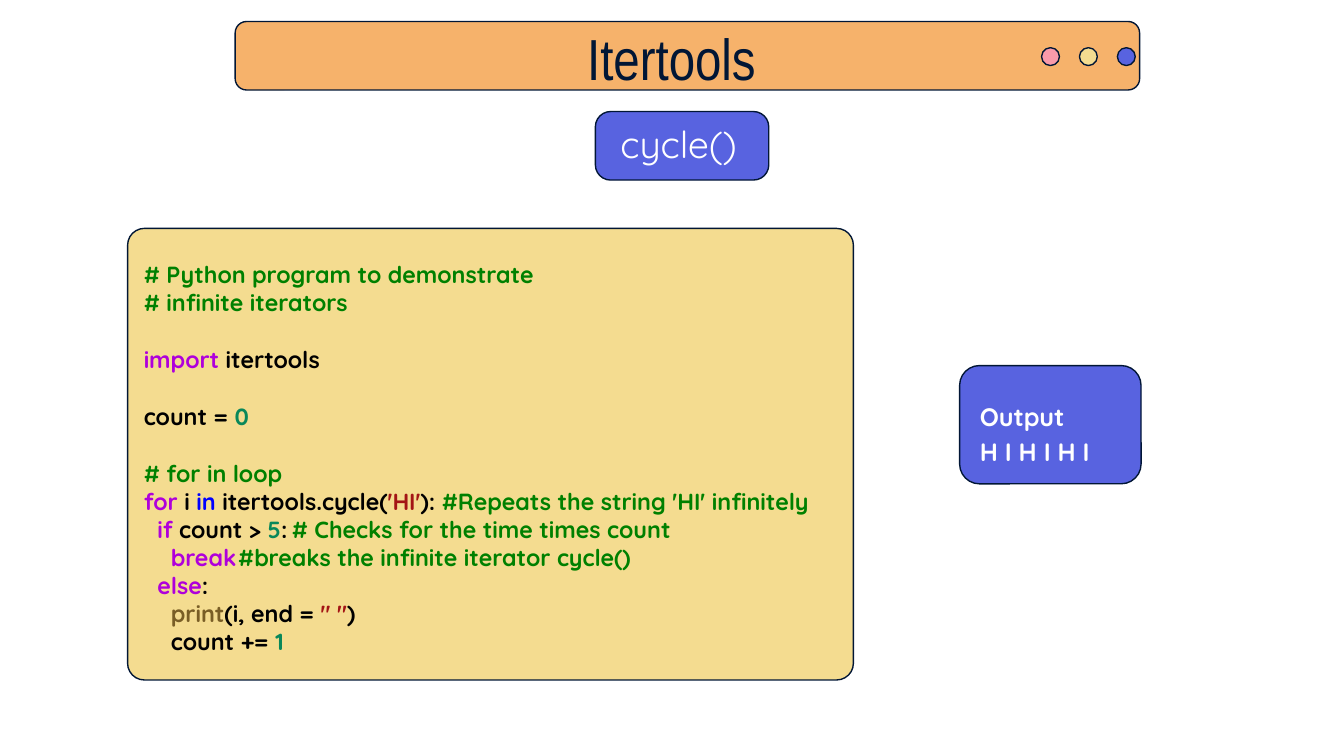
from lxml import etree
from pptx import Presentation
from pptx.dml.color import RGBColor
from pptx.enum.shapes import MSO_SHAPE
from pptx.enum.text import MSO_ANCHOR, PP_ALIGN
from pptx.oxml.ns import qn
from pptx.util import Inches, Pt

ROUND, OVAL = MSO_SHAPE.ROUNDED_RECTANGLE, MSO_SHAPE.OVAL
MIDDLE = MSO_ANCHOR.MIDDLE
LEFT, CENTER = PP_ALIGN.LEFT, PP_ALIGN.CENTER

CELL = Inches(0.1)
COLUMNS, ROWS = 100, 56.25
INDENT = 1.01
CODE_SIZE = 12.5
BLANK_LINE = CODE_SIZE * 1.25

NAVY, BLUE, ORANGE = "011635", "5863E0", "F6B26B"
YELLOW, PINK, WHITE = "F4DC90", "F99AAA", "FFFFFF"
COMMENT, KEYWORD, PLAIN = "008000", "AF00DB", "000000"
NUMBER, STRING, OPERATOR, BUILTIN = "09885A", "A31515", "0000FF", "795E26"

# Each line: indent level, blank line before, comment column, coloured tokens.
CODE = [
    (0, False, None, [("# Python program to demonstrate", COMMENT)]),
    (0, False, None, [("# infinite iterators", COMMENT)]),
    (0, True, None, [("import", KEYWORD), (" itertools", PLAIN)]),
    (0, True, None, [("count = ", PLAIN), ("0", NUMBER)]),
    (0, True, None, [("# for in loop", COMMENT)]),
    (0, False, None, [("for", KEYWORD), (" i ", PLAIN), ("in", OPERATOR),
                      (" itertools.cycle(", PLAIN), ("'HI'", STRING), ("): ", PLAIN),
                      ("#Repeats the string 'HI' infinitely", COMMENT)]),
    (1, False, 12.6, [("if", KEYWORD), (" count > ", PLAIN), ("5", NUMBER), (":\t", PLAIN),
                      ("# Checks for the time times count", COMMENT)]),
    (2, False, 11.6, [("break\t", KEYWORD),
                      ("#breaks the infinite iterator cycle()", COMMENT)]),
    (1, False, None, [("else", KEYWORD), (":", PLAIN)]),
    (2, False, None, [("print", BUILTIN), ("(i, end = ", PLAIN), ('" "', STRING), (")", PLAIN)]),
    (2, False, None, [("count += ", PLAIN), ("1", NUMBER)]),
]


def rgb(color):
    """Turn a hex string into a colour."""
    return RGBColor.from_string(color)


def cells(*counts):
    """Turn grid counts into lengths."""
    return [int(n * CELL) for n in counts]


def add_panel(s, kind, box, fill, radius=None):
    """Add a filled, outlined shape at a grid box."""
    sp = s.shapes.add_shape(kind, *cells(*box))
    sp.shadow.inherit = False
    if radius is not None:
        sp.adjustments[0] = radius
    sp.fill.solid()
    sp.fill.fore_color.rgb = rgb(fill)
    sp.line.color.rgb = rgb(NAVY)
    sp.line.width = Pt(0.75)


def add_frame(s, box, inset=0):
    """Add a wrapping, vertically centred text box and return its frame."""
    tf = s.shapes.add_textbox(*cells(*box)).text_frame
    tf.word_wrap = True
    tf.vertical_anchor = MIDDLE
    tf.margin_left, tf.margin_right, tf.margin_top, tf.margin_bottom = cells(inset, 0, 0, 0)
    return tf


def style(r, font, size, color, bold=False):
    """Format one run."""
    r.font.name, r.font.size, r.font.bold = font, Pt(size), bold
    r.font.color.rgb = rgb(color)


def add_label(s, box, text, font, size, color, align=CENTER, bold=False, spacing=None, inset=0):
    """Add text whose lines share one format."""
    tf = add_frame(s, box, inset)
    tf.text = text
    for p in tf.paragraphs:
        p.alignment, p.line_spacing = align, spacing
        style(p.runs[0], font, size, color, bold)


def add_code(s, box, lines):
    """Add a listing with coloured tokens, indents and tabbed comments."""
    tf = add_frame(s, box)
    for i, (level, gap, tab, tokens) in enumerate(lines):
        p = tf.add_paragraph() if i else tf.paragraphs[0]
        p.alignment = LEFT
        if gap:
            p.space_before = Pt(BLANK_LINE)
        pPr = p._p.get_or_add_pPr()
        pPr.set("marL", str(cells(level * INDENT)[0]))
        pPr.set("indent", "0")
        if tab:
            stops = etree.SubElement(pPr, qn("a:tabLst"))
            etree.SubElement(stops, qn("a:tab"), pos=str(cells(tab)[0]), algn="l")
        for text, color in tokens:
            r = p.add_run()
            r.text = text
            style(r, "Quicksand", CODE_SIZE, color, True)


def main():
    """Build the slide."""
    prs = Presentation()
    prs.slide_width, prs.slide_height = cells(COLUMNS, ROWS)
    s = prs.slides.add_slide(prs.slide_layouts[6])

    add_panel(s, ROUND, (71.4, 27.2, 13.5, 8.8), BLUE, 0.167)
    add_panel(s, ROUND, (17.5, 1.6, 67.3, 5.1), ORANGE, 0.167)
    for i, color in enumerate((PINK, YELLOW, BLUE)):
        add_panel(s, OVAL, (77.5 + 2.82 * i, 3.55, 1.33, 1.33), color)
    add_label(s, (29.4, 1.1, 41.1, 6.3), "Itertools", "Arial Narrow", 31, NAVY)

    add_panel(s, ROUND, (9.5, 17, 54, 33.6), YELLOW, 0.037)
    add_code(s, (10.7, 15, 60.7, 38.1), CODE)
    add_label(s, (72.9, 29, 14.5, 6.3), "Output\nH I H I H I", "Quicksand", 13.5, WHITE,
              LEFT, True, 1.15)

    add_panel(s, ROUND, (44.3, 8.3, 12.9, 5.1), BLUE, 0.222)
    add_label(s, (41.4, 7.5, 17.4, 6.3), "cycle()", "Quicksand", 20, WHITE, inset=0.8)
    prs.save("out.pptx")


if __name__ == "__main__":
    main()
